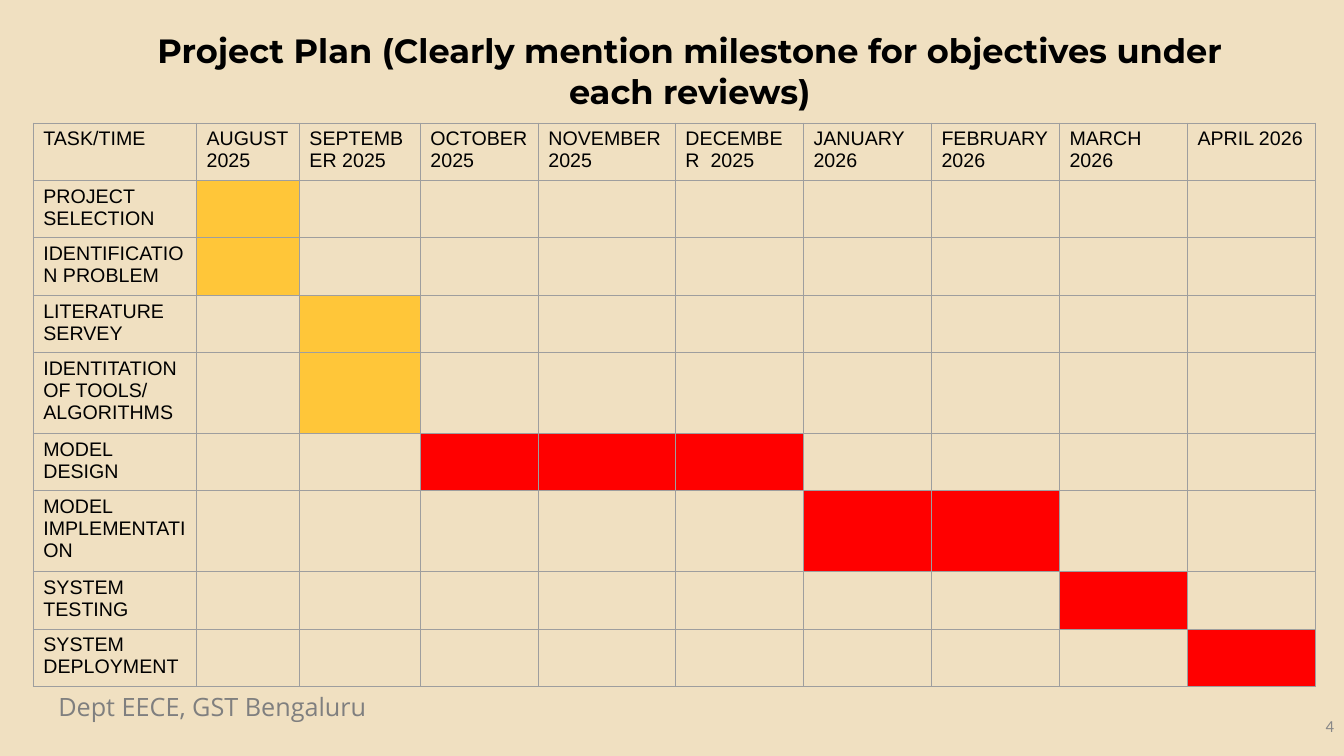
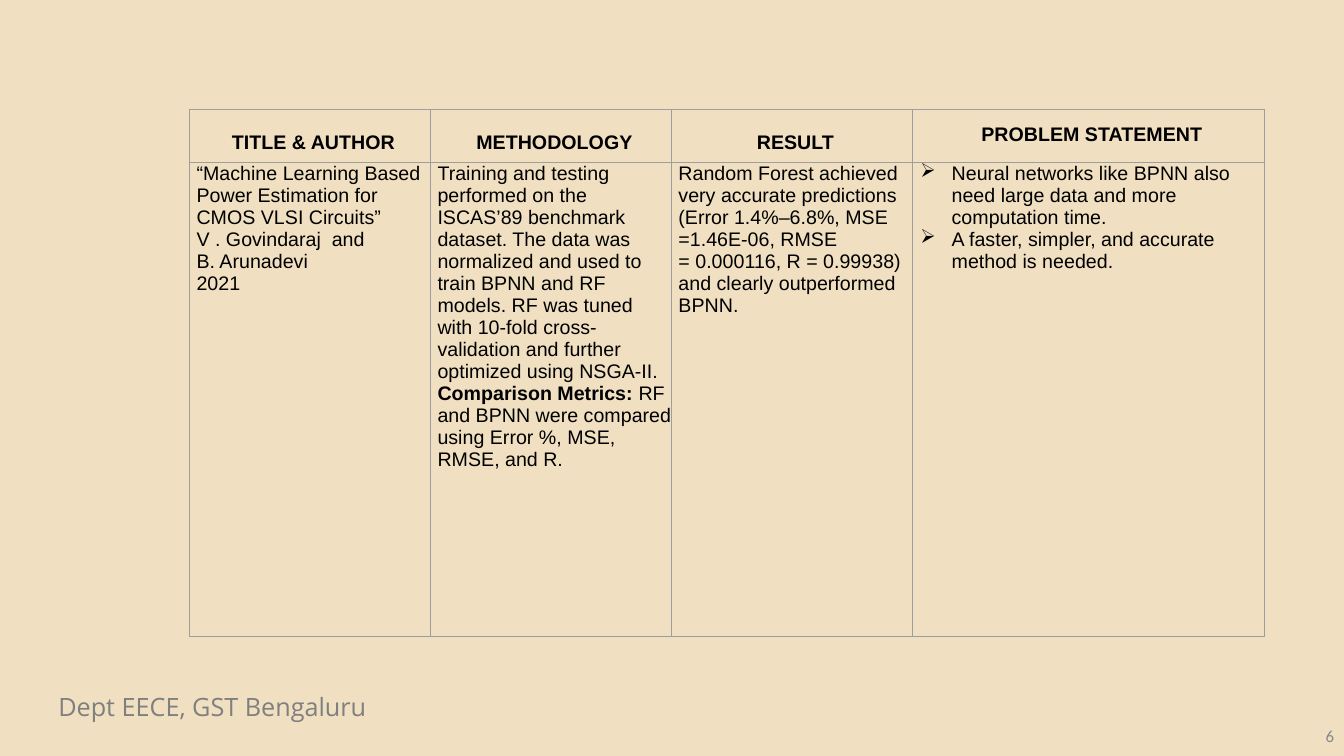
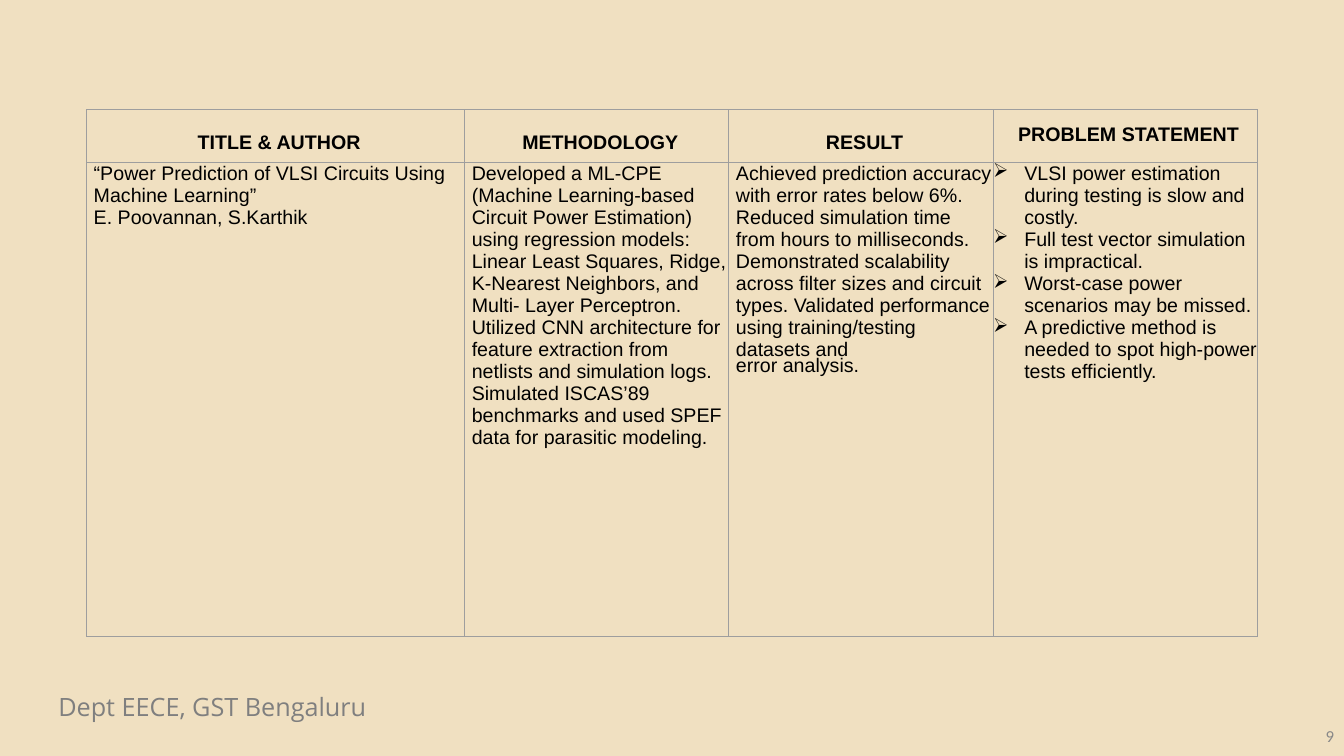
"""Build three project review slides: a schedule and two literature tables."""
from lxml import etree
from pptx import Presentation
from pptx.dml.color import RGBColor
from pptx.enum import text as t
from pptx.oxml import ns
from pptx.util import Inches, Pt

SAND = RGBColor(0xF0, 0xE0, 0xC1)
BLACK = RGBColor(0, 0, 0)
FOOTER_GREY = RGBColor(0x7F, 0x7F, 0x7F)
NUMBER_GREY = RGBColor(0x88, 0x88, 0x88)
BORDER_GREY = RGBColor(0x9E, 0x9E, 0x9E)
AMBER = RGBColor(0xFF, 0xC6, 0x39)
RED = RGBColor(0xFF, 0, 0)

TITLE_ONLY, BLANK = 5, 6
FOOTER = "Dept EECE, GST Bengaluru"

MONTHS = ["AUGUST 2025", "SEPTEMBER 2025", "OCTOBER 2025", "NOVEMBER 2025", "DECEMBER  2025",
          "JANUARY 2026", "FEBRUARY 2026", "MARCH 2026", "APRIL 2026"]
TASKS = [
    (["PROJECT SELECTION"], [1], AMBER),
    (["IDENTIFICATION PROBLEM"], [1], AMBER),
    (["LITERATURE SERVEY"], [2], AMBER),
    (["IDENTITATION OF TOOLS/", "ALGORITHMS"], [2], AMBER),
    (["MODEL DESIGN"], [3, 4, 5], RED),
    (["MODEL IMPLEMENTATION"], [6, 7], RED),
    (["SYSTEM TESTING"], [8], RED),
    (["SYSTEM DEPLOYMENT"], [9], RED),
]
SCHEDULE_COLUMNS = [1.62, 1.02, 1.2, 1.17, 1.36] + [1.27] * 5
SCHEDULE_ROWS = [0.57] * 4 + [0.8, 0.57, 0.8, 0.57, 0.57]

REVIEW_HEADINGS = ["TITLE & AUTHOR", "METHODOLOGY", "RESULT", "PROBLEM STATEMENT"]
REVIEW_ROWS = [0.52, 4.7]
RANDOM_FOREST_PAPER = [
    ["“Machine Learning Based Power Estimation for CMOS VLSI Circuits”",
     "V . Govindaraj  and", "B. Arunadevi", "2021"],
    ["Training and testing performed on the ISCAS’89 benchmark dataset. The data was "
     "normalized and used to train BPNN and RF models. RF was tuned with 10-fold cross- "
     "validation and further optimized using NSGA-II.",
     ("Comparison Metrics: ", "RF and BPNN were compared using Error %, MSE, RMSE, and R.")],
    ["Random Forest achieved very accurate predictions (Error 1.4%–6.8%, MSE =1.46E-06, RMSE",
     "= 0.000116, R = 0.99938) and clearly outperformed BPNN."],
    ["Neural networks like BPNN also need large data and more computation time.",
     "A faster, simpler, and accurate method is needed."],
]
REGRESSION_PAPER = [
    ["“Power Prediction of VLSI Circuits Using Machine Learning”", "E. Poovannan, S.Karthik"],
    ["Developed a ML-CPE (Machine Learning-based Circuit Power Estimation) using regression "
     "models: Linear Least Squares, Ridge, K-Nearest Neighbors, and Multi- Layer Perceptron. "
     "Utilized CNN architecture for feature extraction from netlists and simulation logs. "
     "Simulated ISCAS’89 benchmarks and used SPEF data for parasitic modeling."],
    ["Achieved prediction accuracy with error rates below 6%. Reduced simulation time from "
     "hours to milliseconds.",
     "Demonstrated scalability across filter sizes and circuit types. Validated performance "
     "using training/testing datasets and",
     "error analysis."],
    ["VLSI power estimation during testing is slow and costly.",
     "Full test vector simulation is impractical.",
     "Worst-case power scenarios may be missed.",
     "A predictive method is needed to spot high-power tests efficiently."],
]


def style_runs(paragraph, size, font, color, bold=False):
    """Give every run of a paragraph the same look."""
    for run in paragraph.runs:
        run.font.size = Pt(size)
        run.font.name = font
        run.font.color.rgb = color
        run.font.bold = bold


def add_label(slide, box, words, size, font, color, align, anchor):
    """Add a one-paragraph text box."""
    frame = slide.shapes.add_textbox(*map(Inches, box)).text_frame
    frame.word_wrap = True
    frame.vertical_anchor = anchor
    frame.text = words
    frame.paragraphs[0].alignment = align
    style_runs(frame.paragraphs[0], size, font, color)


def add_page(prs, layout, number, number_top, number_height):
    """Add a slide with the shared footer and its page number."""
    slide = prs.slides.add_slide(prs.slide_layouts[layout])
    add_label(slide, (0.48, 6.81, 5.24, 0.4), FOOTER, 18, "Open Sans", FOOTER_GREY,
              t.PP_ALIGN.LEFT, t.MSO_ANCHOR.TOP)
    add_label(slide, (10.33, number_top, 3, number_height), str(number), 12, "Calibri",
              NUMBER_GREY, t.PP_ALIGN.RIGHT, t.MSO_ANCHOR.MIDDLE)
    return slide


def set_title(slide, words):
    """Place and format the title placeholder."""
    title = slide.shapes.title
    title.left, title.top, title.width, title.height = map(Inches, (1.09, 0.25, 11.5, 0.54))
    frame = title.text_frame
    frame.text = words
    frame.word_wrap = True
    frame.auto_size = t.MSO_AUTO_SIZE.NONE
    frame.vertical_anchor = t.MSO_ANCHOR.TOP
    frame.paragraphs[0].alignment = t.PP_ALIGN.CENTER
    style_runs(frame.paragraphs[0], 24, "Montserrat", BLACK, True)


def add_border(cell):
    """Draw a thin grey line on all four sides of a cell."""
    properties = cell._tc.get_or_add_tcPr()
    for side in ("a:lnL", "a:lnR", "a:lnT", "a:lnB"):
        line = etree.SubElement(properties, ns.qn(side), w=str(Pt(0.75)))
        fill = etree.SubElement(line, ns.qn("a:solidFill"))
        etree.SubElement(fill, ns.qn("a:srgbClr"), val=str(BORDER_GREY))


def add_grid(slide, left, top, columns, rows):
    """Add a bordered table without fill or banding."""
    frame = slide.shapes.add_table(len(rows), len(columns), Inches(left), Inches(top),
                                   Inches(sum(columns)), Inches(sum(rows)))
    table = frame.table
    table.first_row = table.horz_banding = False
    for column, width in zip(table.columns, columns):
        column.width = Inches(width)
    for row, height in zip(table.rows, rows):
        row.height = Inches(height)
    for cell in table.iter_cells():
        add_border(cell)
        cell.fill.background()
    return table


def set_margins(cell, left, top):
    """Set the left and top margins of a cell and clear the others."""
    cell.margin_left, cell.margin_top = Inches(left), Inches(top)
    cell.margin_right = cell.margin_bottom = 0


def write_cell(cell, paragraphs, bold=False):
    """Write paragraphs; a pair is a bold lead followed by plain text."""
    frame = cell.text_frame
    for index, words in enumerate(paragraphs):
        paragraph = frame.add_paragraph() if index else frame.paragraphs[0]
        lead, rest = words if isinstance(words, tuple) else (words, "")
        paragraph.text = lead
        if rest:
            paragraph.add_run().text = rest
        style_runs(paragraph, 14, "Arial", BLACK, bold)
        if rest:
            paragraph.runs[0].font.bold = True


def add_bullets(cell):
    """Give each paragraph of a cell a hanging arrowhead bullet."""
    for paragraph in cell.text_frame.paragraphs:
        properties = paragraph._p.get_or_add_pPr()
        properties.set("marL", str(Inches(0.31)))
        properties.set("indent", str(-Inches(0.31)))
        color = etree.SubElement(properties, ns.qn("a:buClr"))
        etree.SubElement(color, ns.qn("a:srgbClr"), val=str(BLACK))
        etree.SubElement(properties, ns.qn("a:buChar"), char="➢")


def add_schedule(slide):
    """Add the task and month table with its coloured periods."""
    table = add_grid(slide, 0.33, 1.22, SCHEDULE_COLUMNS, SCHEDULE_ROWS)
    for column, heading in enumerate(["TASK/TIME"] + MONTHS):
        write_cell(table.cell(0, column), [heading])
    for row, (task, months, color) in enumerate(TASKS, start=1):
        write_cell(table.cell(row, 0), task)
        for month in months:
            period = table.cell(row, month)
            period.fill.solid()
            period.fill.fore_color.rgb = color


def add_review(slide, left, columns, paper, bullet_margin):
    """Add a literature table for one paper."""
    table = add_grid(slide, left, 1.09, columns, REVIEW_ROWS)
    problem = len(columns) - 1
    for column, (heading, body) in enumerate(zip(REVIEW_HEADINGS, paper)):
        head, content = table.cell(0, column), table.cell(1, column)
        set_margins(head, 0.07, 0.18 if column == problem else 0.22)
        write_cell(head, [heading], True)
        head.text_frame.paragraphs[0].alignment = t.PP_ALIGN.CENTER
        set_margins(content, bullet_margin if column == problem else 0.07, 0)
        write_cell(content, body)
    table.cell(0, problem).text_frame.paragraphs[0].line_spacing = Pt(12.6)
    add_bullets(table.cell(1, problem))
    return table


def main():
    """Build and save the presentation."""
    prs = Presentation()
    prs.slide_width, prs.slide_height = Inches(13.33), Inches(7.5)
    background = prs.slide_master.background.fill
    background.solid()
    background.fore_color.rgb = SAND

    plan = add_page(prs, TITLE_ONLY, 4, 6.85, 0.71)
    set_title(plan, "Project Plan (Clearly mention milestone for objectives under each reviews)")
    add_schedule(plan)

    forest = add_page(prs, BLANK, 6, 7.1, 0.4)
    add_review(forest, 1.88, [2.39, 2.39, 2.39, 3.49], RANDOM_FOREST_PAPER, 0.08)

    regression = add_page(prs, BLANK, 9, 7.1, 0.4)
    review = add_review(regression, 0.86, [3.75, 2.62, 2.62, 2.62], REGRESSION_PAPER, 0)
    review.cell(1, 2).text_frame.paragraphs[-1].line_spacing = Pt(11.7)

    prs.save("out.pptx")


if __name__ == "__main__":
    main()
